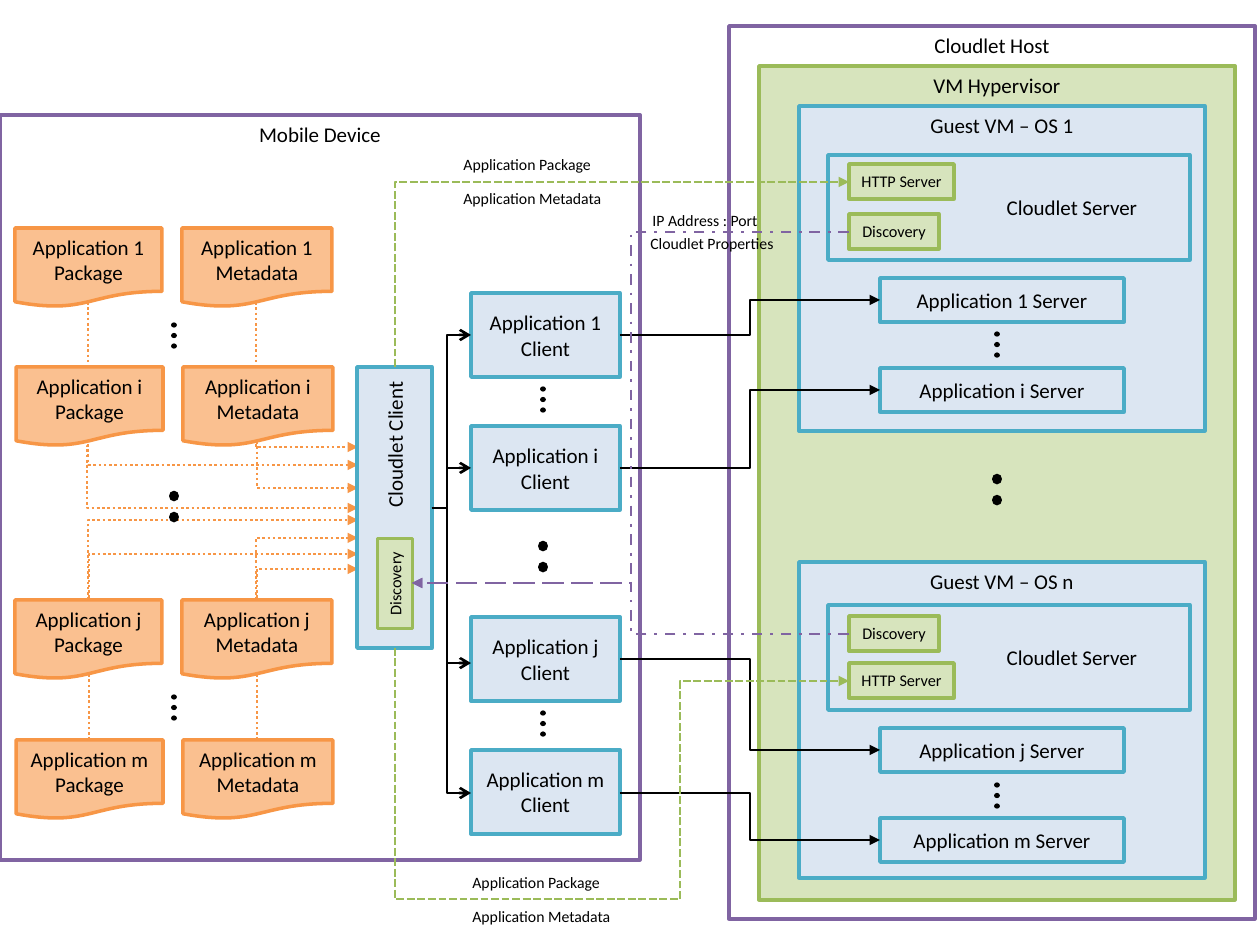
from dataclasses import dataclass
from typing import Optional

from pptx import Presentation
from pptx import util as u
from pptx.dml.color import RGBColor
from pptx.enum import shapes, text
from pptx.oxml import parse_xml
from pptx.oxml.ns import nsdecls, qn

SCALE = 914400 / 126
BLACK = RGBColor(0x00, 0x00, 0x00)
WHITE = RGBColor(0xFF, 0xFF, 0xFF)
PURPLE = RGBColor(0x80, 0x64, 0xA2)
GREEN = RGBColor(0x9B, 0xBB, 0x59)
LIME = RGBColor(0xD7, 0xE4, 0xBD)
TEAL = RGBColor(0x4B, 0xAC, 0xC6)
PALE = RGBColor(0xDC, 0xE6, 0xF2)
ORANGE = RGBColor(0xF7, 0x96, 0x46)
PEACH = RGBColor(0xFA, 0xC0, 0x90)

RECT = shapes.MSO_SHAPE.RECTANGLE
PAGE = shapes.MSO_SHAPE.FLOWCHART_DOCUMENT
TOP, MID = text.MSO_ANCHOR.TOP, text.MSO_ANCHOR.MIDDLE


@dataclass
class Box:
    """A filled, outlined shape with centred text."""
    words: str
    left: int
    top: int
    width: int
    height: int
    edge: RGBColor = TEAL
    fill: Optional[RGBColor] = PALE
    kind: int = RECT
    anchor: int = MID
    size: float = 12
    turn: int = 0
    lead: bool = False


@dataclass
class Wire:
    """A bent line; it runs across via mid, or down first if mid is None."""
    x1: int
    y1: int
    x2: int
    y2: int
    mid: Optional[int] = None
    color: RGBColor = BLACK
    dash: str = "solid"
    tip: str = "triangle"


def px(value: float) -> int:
    """Turn pixels into EMU."""
    return u.Emu(round(value * SCALE))


def put(target, values: dict) -> None:
    """Set each named value on the target."""
    for name, value in values.items():
        setattr(target, name, value)


def write(shape, words: str, size: float, align: int, frame: dict) -> None:
    """Write paragraphs into a shape, one for each line of words."""
    put(shape.text_frame, frame)
    shape.text_frame.text = words
    for para in shape.text_frame.paragraphs:
        para.alignment = align
        put(para.font, {"size": u.Pt(size), "name": "Calibri"})
        para.font.color.rgb = BLACK


def draw_box(slide, box: Box) -> None:
    """Draw one box."""
    shape = slide.shapes.add_shape(
        box.kind, *map(px, (box.left, box.top, box.width, box.height)))
    shape.shadow.inherit = False
    shape.rotation = box.turn
    if box.fill is None:
        shape.fill.background()
    else:
        shape.fill.solid()
        shape.fill.fore_color.rgb = box.fill
    shape.line.color.rgb = box.edge
    shape.line.width = u.Pt(2)
    frame = {"word_wrap": True, "vertical_anchor": box.anchor}
    if box.lead:
        frame.update(margin_left=px(130), margin_right=px(4))
    write(shape, box.words, box.size, text.PP_ALIGN.CENTER, frame)


def style(line, color: RGBColor, width: float, dash: str, tip: str = "none",
          cap: str = "flat") -> None:
    """Give a connector its colour, width, dash, cap and arrowhead."""
    line.line.color.rgb = color
    line.line.width = u.Pt(width)
    props = line.element.spPr
    ln = props.find(qn("a:ln"))
    ln.set("cap", cap)
    for tag, attr, value in (("prstDash", "val", dash), ("tailEnd", "type", tip)):
        ln.append(parse_xml(f'<a:{tag} {nsdecls("a")} {attr}="{value}"/>'))
    props.append(parse_xml(f'<a:effectLst {nsdecls("a")}/>'))


def draw_wire(slide, wire: Wire) -> None:
    """Draw one bent connector."""
    wide, high = wire.x2 - wire.x1, wire.y2 - wire.y1
    ends = (wire.x1, wire.y1, wire.x2, wire.y2)
    if wire.mid is None:
        cx, cy = (wire.x1 + wire.x2) / 2, (wire.y1 + wire.y2) / 2
        dx, dy = abs(high) / 2, abs(wide) / 2
        ends = (cx - dx, cy - dy, cx + dx, cy + dy)
    line = slide.shapes.add_connector(
        shapes.MSO_CONNECTOR.ELBOW, *map(px, ends))
    geom = line.element.spPr.find(qn("a:prstGeom"))
    if wire.mid is None:
        geom.set("prst", "bentConnector2")
        turn = {"rot": "16200000", "flipH": "1"}
        if high < 0:
            turn = {"rot": "5400000", "flipH": "1", "flipV": "1"}
        for name, value in turn.items():
            line.element.spPr.find(qn("a:xfrm")).set(name, value)
    else:
        bend = round((wire.mid - wire.x1) / wide * 100000)
        geom.find(qn("a:avLst")).append(parse_xml(
            f'<a:gd {nsdecls("a")} name="adj1" fmla="val {bend}"/>'))
    style(line, wire.color, 1.5, wire.dash, wire.tip)


def draw_dots(slide, x: int, y: int, big: bool) -> None:
    """Draw a vertical ellipsis of small or big dots."""
    line = slide.shapes.add_connector(
        shapes.MSO_CONNECTOR.STRAIGHT,
        *map(px, (x, y, x, y + (42 if big else 22))))
    style(line, BLACK, 6 if big else 3, "sysDot", cap="rnd")


def draw_label(slide, words: str, left: int, top: int, width: int) -> None:
    """Draw a small caption."""
    shape = slide.shapes.add_textbox(*map(px, (left, top, width, 32)))
    write(shape, words, 9, text.PP_ALIGN.LEFT, {
        "word_wrap": False, "auto_size": text.MSO_AUTO_SIZE.SHAPE_TO_FIT_TEXT})


def main() -> None:
    """Build the slide."""
    deck = Presentation()
    put(deck, {"slide_width": u.Inches(10), "slide_height": u.Inches(7.5)})
    slide = deck.slides.add_slide(deck.slide_layouts[6])

    feeds = [(256, 302, 447), (88, 302, 465), (257, 441, 488),
             (88, 600, 520), (256, 600, 538), (89, 740, 554), (257, 740, 569)]
    for x, start, stop in feeds:
        draw_wire(slide, Wire(x, start, 358, stop, None, ORANGE, "sysDot"))
    draw_wire(slide, Wire(89, 446, 358, 508, 87, ORANGE, "sysDot"))

    boxes = [
        Box("Mobile Device", 0, 115, 640, 745, PURPLE, None, anchor=TOP),
        Box("Cloudlet Host", 729, 26, 526, 893, PURPLE, WHITE, anchor=TOP),
        Box("VM Hypervisor", 759, 66, 476, 834, GREEN, LIME, anchor=TOP),
        Box("Cloudlet Client", 254, 470, 281, 75, turn=270, lead=True),
        Box("Discovery", 350, 566, 90, 35, GREEN, LIME, size=9.3, turn=270)]
    guests = [("1", 106, 325, 155, 164, 214), ("n", 562, 316, 605, 663, 616)]
    for name, top, high, inner, web, find in guests:
        boxes += [
            Box(f"Guest VM – OS {name}", 799, top, 406, high, anchor=TOP),
            Box("Cloudlet Server", 828, inner, 362, 105, lead=True),
            Box("HTTP Server", 849, web, 105, 35, GREEN, LIME, size=9.3),
            Box("Discovery", 849, find, 90, 35, GREEN, LIME, size=9.3)]
    apps = [("1", 15, 228, 293, 278), ("i", 16, 367, 426, 368),
            ("j", 15, 600, 617, 728), ("m", 16, 740, 750, 818)]
    for name, left, page, client, server in apps:
        app = f"Application {name}"
        boxes += [
            Box(f"{app} Package", left, page, 147, 79, ORANGE, PEACH, PAGE),
            Box(f"{app} Metadata", left + 167, page, 150, 79, ORANGE, PEACH, PAGE),
            Box(f"{app}\nClient", 471, client, 149, 84),
            Box(f"{app} Server", 880, server, 244, 44)]
    for box in boxes:
        draw_box(slide, box)

    dots = {997: (334, 479, 785), 543: (389, 546, 713), 174: (325, 496, 697)}
    for x, tops in dots.items():
        for rank, top in enumerate(tops):
            draw_dots(slide, x, top, rank == 1)

    wires = []
    for start, stop in ((335, 300), (468, 390), (659, 750), (793, 840)):
        wires.append(Wire(620, start, 880, stop, 750))
    for stop in (335, 468, 663, 793):
        wires.append(Wire(432, 508, 471, stop, 447, tip="arrow"))
    wires += [
        Wire(395, 367, 849, 182, None, GREEN, "sysDash"),
        Wire(680, 899, 849, 681, None, GREEN, "sysDash"),
        Wire(395, 648, 680, 899, None, GREEN, "sysDash", "none")]
    for start in (232, 634):
        wires.append(Wire(849, start, 412, 583, 631, PURPLE, "dashDot"))
    for wire in wires:
        draw_wire(slide, wire)

    for left, top in ((451, 149), (460, 867)):
        draw_label(slide, "Application Package", left, top, 155)
        draw_label(slide, "Application Metadata", left, top + 34, 166)
    draw_label(slide, "IP Address : Port", 640, 205, 132)
    draw_label(slide, "Cloudlet Properties", 638, 228, 150)
    deck.save("out.pptx")


main()
